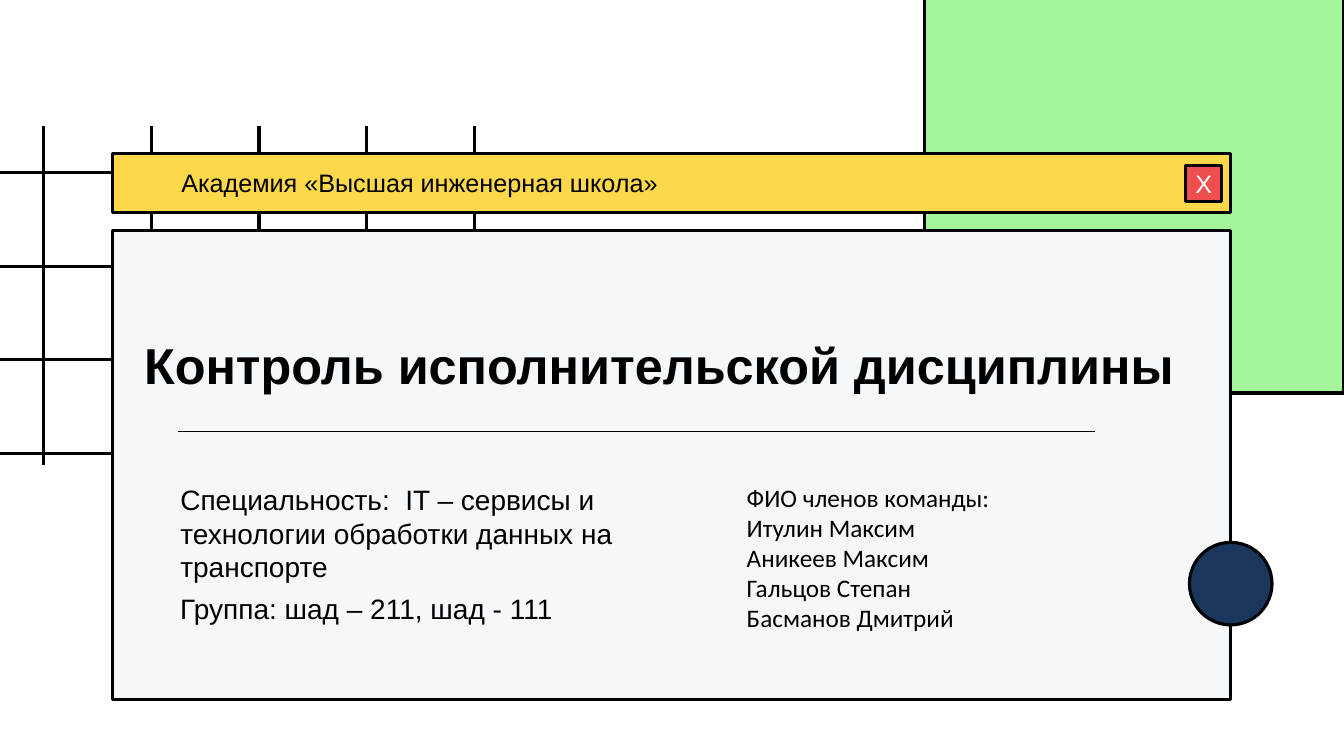
from pptx import Presentation
from pptx.util import Pt
from pptx.dml.color import RGBColor
from pptx.enum import shapes as sh, text as tx
from lxml import etree

# Content: text lines, (left, top, width, height), size, font, bold
TEXTS = [
    (["Контроль исполнительской дисциплины"],
     (95.8, 235.4, 763.2, 51), 36, "Arial", True),
    (["Специальность:  IT – сервисы и технологии обработки данных на транспорте"],
     (121.7, 341.3, 337, 80), 20, "Arial", False),
    (["Группа: шад – 211, шад - 111"],
     (121.7, 419, 307.4, 31.5), 20, "Arial", False),
    (["Академия «Высшая инженерная школа»"],
     (122.4, 116, 358.6, 29), 18, "Arial", False),
    (["ФИО членов команды:", "Итулин Максим", "Аникеев Максим",
      "Гальцов Степан", "Басманов Дмитрий"],
     (526.3, 340.6, 255.6, 116.6), 18, "Calibri", False),
]
GREEN = (660.2, -18.7, 299.5, 299.5)
PANEL = (80.6, 164.9, 798.5, 334.8)
BAR = (80.6, 109.4, 798.5, 42.5)
CLOSE = (846.7, 118, 26, 26)
DOT = (849.6, 387.4, 59, 59)

# Grid: first line, step, count, and extent of the lines
COLS = (31, 77, 5, 90, 332)
ROWS = (123.1, 67, 4, 0, 387.4)

deck = Presentation()
deck.slide_width, deck.slide_height = Pt(960), Pt(540)
slide = deck.slides.add_slide(deck.slide_layouts[6])
items = slide.shapes
NS = "http://schemas.openxmlformats.org/drawingml/2006/main"


def paint(target, color):
    target.rgb = RGBColor.from_string(color)


def add_form(kind, box, color):
    form = items.add_shape(kind, *map(Pt, box))
    form.shadow.inherit = False
    form.fill.solid()
    paint(form.fill.fore_color, color)
    paint(form.line.color, "000000")
    form.line.width = Pt(2.25)
    return form


def add_line(x1, y1, x2, y2, width=2.25):
    line = items.add_connector(sh.MSO_CONNECTOR.STRAIGHT,
                               *map(Pt, (x1, y1, x2, y2)))
    paint(line.line.color, "000000")
    line.line.width = Pt(width)
    etree.SubElement(line._element.spPr, "{%s}effectLst" % NS)


def write(frame, lines, size, font, color="000000", bold=False):
    frame.text = "\n".join(lines)
    for para in frame.paragraphs:
        for run in para.runs:
            run.font.size, run.font.name, run.font.bold = Pt(size), font, bold
            paint(run.font.color, color)


# Backdrop: green square and grid
RECT = sh.MSO_SHAPE.RECTANGLE
add_form(RECT, GREEN, "A3F699")
start, step, count, top, end = COLS
for i in range(count):
    add_line(start + i * step, top, start + i * step, end)
start, step, count, left, end = ROWS
for i in range(count):
    add_line(left, start + i * step, end, start + i * step)

# Window: panel, title bar and rule
add_form(RECT, PANEL, "F4F8FB")
add_form(RECT, BAR, "FCD84A")
add_line(127.4, 308.2, 781.9, 308.2, 1)

# Close button and dot
close = add_form(RECT, CLOSE, "EE4F4E")
close.text_frame.vertical_anchor = tx.MSO_ANCHOR.MIDDLE
write(close.text_frame, ["Х"], 18, "Arial", "FFFFFF")
close.text_frame.paragraphs[0].alignment = tx.PP_ALIGN.CENTER
add_form(sh.MSO_SHAPE.OVAL, DOT, "1B365D")

# Texts
for lines, box, size, font, bold in TEXTS:
    frame = items.add_textbox(*map(Pt, box)).text_frame
    frame.word_wrap = True
    write(frame, lines, size, font, bold=bold)

deck.save("out.pptx")
